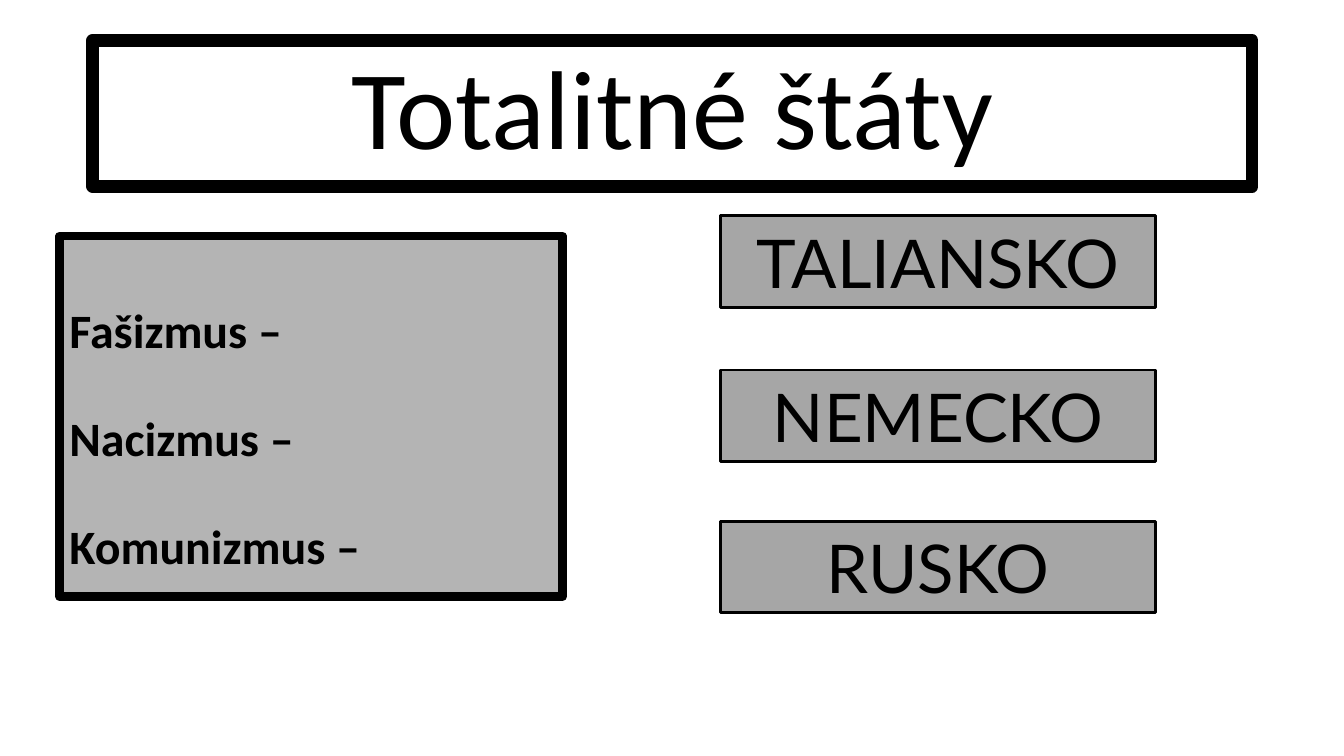
from dataclasses import dataclass

from lxml import etree
from pptx import Presentation
from pptx.dml.color import RGBColor
from pptx.enum.shapes import MSO_SHAPE
from pptx.enum.text import MSO_ANCHOR as Anchor, PP_ALIGN as Align
from pptx.oxml.ns import qn
from pptx.slide import Slide
from pptx.util import Inches, Pt

BLACK, WHITE, GREY = "000000", "FFFFFF", "A6A6A6"


@dataclass
class Box:
    left: float
    top: float
    width: float
    height: float
    lines: list[str]
    size: float
    border: float
    fill: str = GREY
    opacity: int = 100
    font: str = "Calibri"
    bold: bool = False
    align: Align = Align.CENTER
    anchor: Anchor = Anchor.MIDDLE
    inset_top: float = 0.05
    line_spacing: float = 1.0
    gap: float = 0


def color(value: str) -> RGBColor:
    return RGBColor.from_string(value)


def draw_box(slide: Slide, box: Box) -> None:
    shape = slide.shapes.add_shape(
        MSO_SHAPE.RECTANGLE, Inches(box.left), Inches(box.top),
        Inches(box.width), Inches(box.height))
    shape.shadow.inherit = False
    shape.fill.solid()
    shape.fill.fore_color.rgb = color(box.fill)
    if box.opacity < 100:
        fill_color = shape.fill._xPr.find(f".//{qn('a:srgbClr')}")
        etree.SubElement(fill_color, qn("a:alpha"), val=str(box.opacity * 1000))
    shape.line.color.rgb = color(BLACK)
    shape.line.width = Pt(box.border)

    frame = shape.text_frame
    frame.word_wrap = True
    frame.vertical_anchor = box.anchor
    frame.margin_top = Inches(box.inset_top)
    font_format = {"name": box.font, "size": Pt(box.size), "bold": box.bold}
    for index, line in enumerate(box.lines):
        paragraph = frame.add_paragraph() if index else frame.paragraphs[0]
        paragraph.alignment = box.align
        paragraph.line_spacing = box.line_spacing
        if index:
            paragraph.space_before = Pt(box.gap)
        run = paragraph.add_run()
        run.text = line
        for name, value in font_format.items():
            setattr(run.font, name, value)
        run.font.color.rgb = color(BLACK)


TITLE = Box(0.92, 0.4, 11.5, 1.45, ["Totalitné štáty"], size=80, border=9,
            fill=WHITE, line_spacing=0.9)
IDEOLOGIES = Box(0.59, 2.34, 4.99, 3.58,
                 ["Fašizmus –", "Nacizmus –", "Komunizmus –"],
                 size=34.2, border=6, opacity=84, bold=True, align=Align.LEFT,
                 anchor=Anchor.TOP, inset_top=0.8, line_spacing=0.7, gap=48.3)
COUNTRY_TOPS = {"TALIANSKO": 2.14, "NEMECKO": 3.67, "RUSKO": 5.17}


def main() -> None:
    presentation = Presentation()
    presentation.slide_width = Inches(13.33)
    presentation.slide_height = Inches(7.5)
    slide = presentation.slides.add_slide(presentation.slide_layouts[6])
    countries = [Box(7.15, top, 4.31, 0.91, [country], size=48, border=2, font="Lato")
                 for country, top in COUNTRY_TOPS.items()]
    for box in [TITLE, IDEOLOGIES, *countries]:
        draw_box(slide, box)
    presentation.save("out.pptx")


if __name__ == "__main__":
    main()
